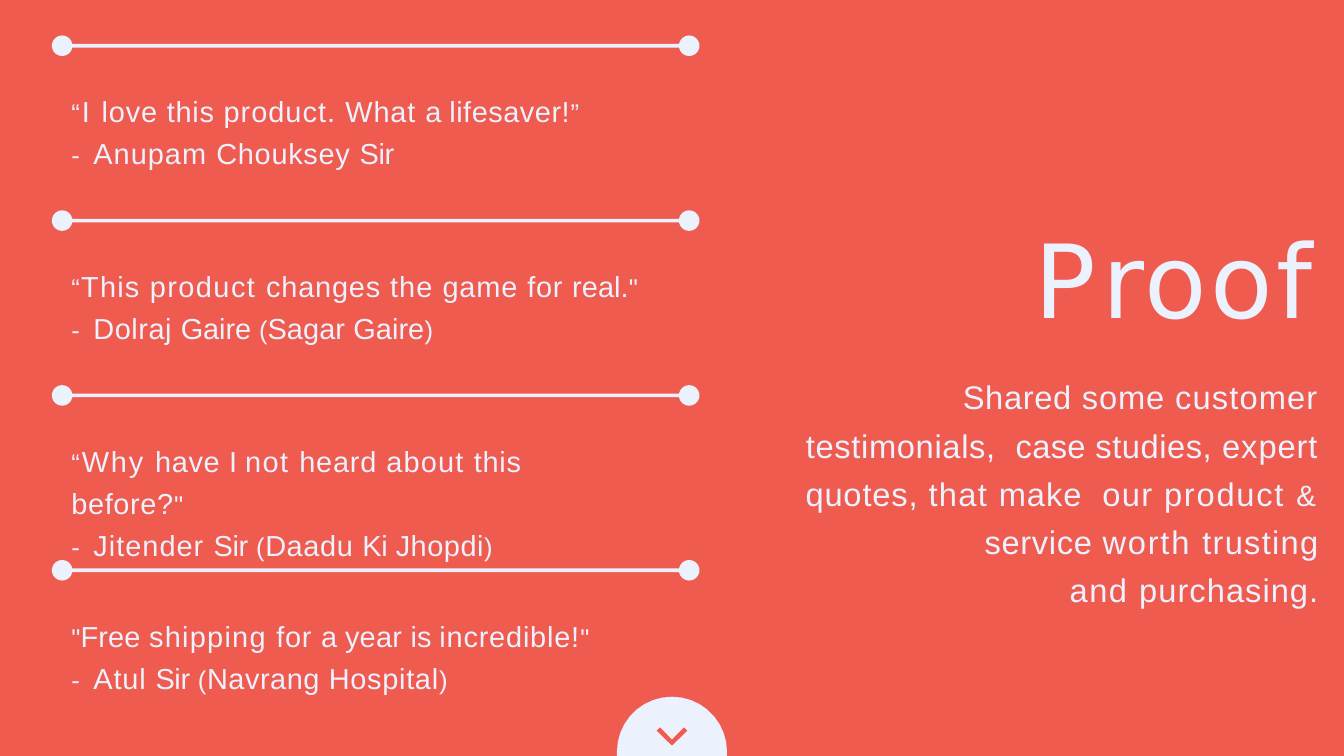
import math

from pptx import Presentation
from pptx import util as u
from pptx.dml.color import RGBColor
from pptx.enum import text
from pptx.util import Cm

COLORS = {"coral": "EF5C4F", "ice": "ECF1FE"}
SMALL_MARKS = ("“", "”", '"', "-", "(", ")", "&")


def add_runs(paragraph, runs, font, size, mark_size):
    """Add (text, letter spacing in points) runs; lone marks are set smaller."""
    for words, spacing in runs:
        run = paragraph.add_run()
        run.text = words
        run.font.name = font
        run.font.size = u.Pt(mark_size if words.strip() in SMALL_MARKS else size)
        run.font.color.rgb = RGBColor.from_string(COLORS["ice"])
        run._r.get_or_add_rPr().set("spc", str(round(spacing * 100)))


def add_outline(shapes, points, color):
    """Draw a closed, filled outline through points given in centimetres."""
    corners = [(Cm(x), Cm(y)) for x, y in points]
    builder = shapes.build_freeform(*corners[0])
    builder.add_line_segments(corners[1:], close=True)
    outline = builder.convert_to_shape()
    outline.shadow.inherit = False
    outline.fill.solid()
    outline.fill.fore_color.rgb = RGBColor.from_string(COLORS[color])
    outline.line.fill.background()


deck = Presentation()
deck.slide_width, deck.slide_height = Cm(50.8), Cm(28.58)
slide = deck.slides.add_slide(deck.slide_layouts[5])
slide.background.fill.solid()
slide.background.fill.fore_color.rgb = RGBColor.from_string(COLORS["coral"])

# Title, introduction and testimonials: frames first, then their words
title = slide.shapes.title
title.left, title.top, title.width, title.height = Cm(39.09), Cm(8.15), Cm(10.72), Cm(4.7)
intro = slide.shapes.add_textbox(Cm(27.89), Cm(13.89), Cm(21.95), Cm(7.37))

# Half-round button with a chevron at the bottom edge
button = slide.shapes.add_group_shape()
dome = [(25.4 + 2.08 * math.cos(math.radians(a)), 28.42 + 2.08 * math.sin(math.radians(a)))
        for a in range(180, 361, 10)]
add_outline(button.shapes, dome + [(27.48, 28.58), (23.32, 28.58)], "ice")
chevron = [(25.98, 27.62), (25.4, 28.19), (24.82, 27.62),
           (24.95, 27.5), (25.4, 27.96), (25.85, 27.5)]
add_outline(button.shapes, chevron, "coral")

# Testimonials: box width, quote, author
testimonials = [
    (19.38,
     [("“", 2), ("I ", 2), ("love ", 0.9), ("this ", 0.8), ("product. ", 1.1),
      ("What ", 1), ("a ", -0.2), ("lifesaver!", 0.6), ("”", 0.6)],
     [("Anupam ", 1.1), ("Chouksey ", 0.8), ("Sir", -0.3)]),
    (21.56,
     [("“", 1.3), ("This ", 1.3), ("product ", 1.6), ("changes ", 0.9), ("the ", 1.1),
      ("game ", 1), ("for ", 0.8), ("real.", 0.1), ('"', 0.1)],
     [("Dolraj ", 0.6), ("Gaire ", -0.1), ("(", 0.1), ("Sagar Gaire", 0.1), (")", 0.1)]),
    (21.62,
     [("“", 2), ("Why ", 2), ("have ", 0.7), ("I ", -0.1), ("not ", 1.6), ("heard ", 0.9),
      ("about ", 1.3), ("this ", 0.8), ("before?", 0.7), ('"', 0.7)],
     [("Jitender ", 1.1), ("Sir ", -0.3), ("(", 0.7), ("Daadu ", 0.7), ("Ki ", -0.2),
      ("Jhopdi", 0.6), (")", 0.6)]),
    (19.89,
     [('"', 0.2), ("Free ", 0.2), ("shipping ", 1.4), ("for ", 0.8), ("a ", -0.2),
      ("year ", 0.3), ("is ", -0.1), ("incredible!", 0.9), ('"', 0.9)],
     [("Atul ", 0.9), ("Sir ", -0.3), ("(", 0.6), ("Navrang ", 0.6), ("Hospital", 0.8),
      (")", 0.8)]),
]
ROW_PITCH = 6.61
quotes = []
for row, (width, quote, author) in enumerate(testimonials):
    box = slide.shapes.add_textbox(Cm(2.67), Cm(3.25 + row * ROW_PITCH), Cm(width), Cm(3.25))
    quotes.append(box)
    paragraph = box.text_frame.paragraphs[0]
    paragraph.line_spacing = 1.21
    paragraph.space_before = u.Pt(1)
    add_runs(paragraph, quote, "Arial", 31, 27.5)
    paragraph.add_line_break()
    add_runs(paragraph, [("-  ", -0.4)] + author, "Arial", 31, 27.5)

    # Divider above the quote: a thin bar with a round knob at each end
    middle = 1.73 + row * ROW_PITCH
    divider = [(knob + 0.39 * math.cos(math.radians(a)), middle + 0.39 * math.sin(math.radians(a)))
               for knob, start in ((2.35, 10), (26.05, 190))
               for a in range(start, start + 341, 20)]
    add_outline(slide.shapes, divider, "ice")

# Title words
heading = title.text_frame.paragraphs[0]
heading.alignment = text.PP_ALIGN.LEFT
heading.space_before = u.Pt(1)
add_runs(heading, [("P", 6.3), ("r", 0.4), ("oo", 3.4), ("f", 4)], "DejaVu Sans", 109.5, 109.5)

# Introduction words
opening = intro.text_frame.paragraphs[0]
opening.alignment = text.PP_ALIGN.RIGHT
opening.line_spacing = 1.23
opening.space_before = u.Pt(0.9)
opening._p.get_or_add_pPr().set("indent", str(Cm(1.09)))
add_runs(opening, [
    ("Shared ", 0.7), ("some ", 0.9), ("customer ", 1.2), ("testimonials,  ", 0.7),
    ("case ", 0.3), ("studies, ", 0.6), ("expert ", 1), ("quotes, ", 0.9), ("that ", 1.4),
    ("make  ", 1), ("our ", 1.4), ("product ", 1.9), ("& ", 2.9), ("service ", 0.7),
    ("worth ", 1.9), ("trusting", 1.4)], "Arial", 35, 31.5)
closing = intro.text_frame.add_paragraph()
closing.alignment = text.PP_ALIGN.RIGHT
closing.space_before = u.Pt(9.7)
add_runs(closing, [("and ", 1.6), ("purchasing.", 1.1)], "Arial", 35, 31.5)

# Frame settings shared by all text
for box in [title, intro] + quotes:
    frame = box.text_frame
    frame.word_wrap = True
    frame.auto_size = text.MSO_AUTO_SIZE.SHAPE_TO_FIT_TEXT
    frame.vertical_anchor = text.MSO_ANCHOR.TOP
    frame.margin_left = frame.margin_right = frame.margin_bottom = 0
    frame.margin_top = Cm(0.03)
    for paragraph in frame.paragraphs:
        paragraph._p.get_or_add_pPr().set("marL", str(Cm(0.03)))

deck.save("out.pptx")
